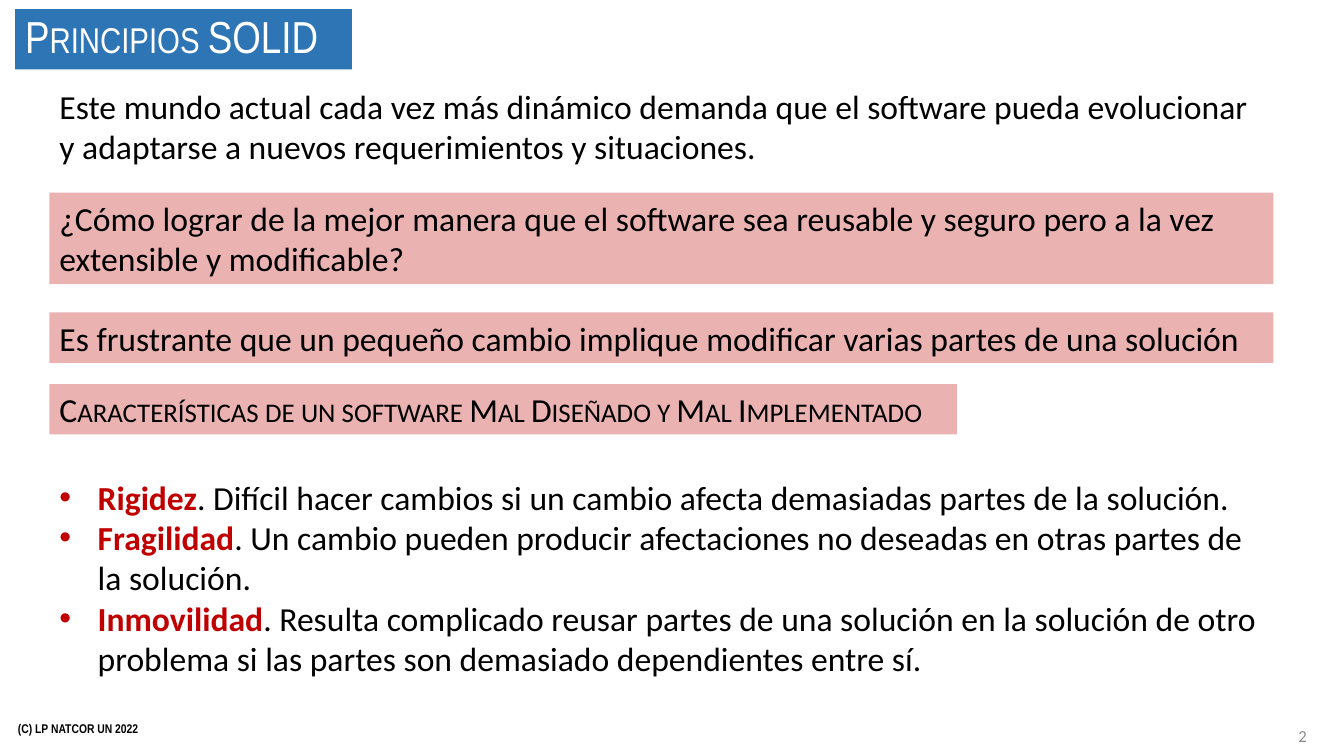
"""Builds the SOLID principles slide."""
from dataclasses import dataclass

from lxml.etree import SubElement
from pptx import Presentation
from pptx.dml.color import RGBColor
from pptx.enum.shapes import MSO_SHAPE as Shape
from pptx.enum.text import MSO_ANCHOR as Anchor, PP_ALIGN as Align
from pptx.oxml.ns import qn
from pptx.util import Emu, Inches, Pt


@dataclass(frozen=True)
class Theme:
    """Colours, fonts and type sizes."""
    black: str = "000000"
    white: str = "FFFFFF"
    grey: str = "8C8C8C"
    blue: str = "2E75B6"
    red: str = "C00000"
    heading_font: str = "Arial Narrow"
    body_font: str = "Calibri"
    title_size: int = 32
    body_size: int = 24
    number_size: int = 12
    credit_size: int = 9
    panel_alpha: int = 30


THEME = Theme()


@dataclass(frozen=True)
class Point:
    """One paragraph with an optional bold term that makes it a bullet."""
    text: str
    term: str = ""


@dataclass(frozen=True)
class Panel:
    """A text block placed in percent of the slide's width and height."""
    left: float
    top: float
    width: float
    height: float
    points: tuple[Point, ...]
    fill: str = ""
    alpha: int = 100
    font: str = THEME.body_font
    size: int = THEME.body_size
    color: str = THEME.black
    bold: bool = False
    small_caps: bool = False
    anchor: Anchor = Anchor.TOP
    align: Align = Align.LEFT
    line_spacing: float = 1.0


MARGIN, FULL_WIDTH = 3.68, 91.07
ONE_LINE, TWO_LINES, FIVE_LINES = 6.67, 12.13, 28.27


def statement(top: float, height: float, *points: Point, fill: str = THEME.red,
              width: float = FULL_WIDTH, small_caps: bool = False) -> Panel:
    """Describe a translucent body panel on the common left margin."""
    return Panel(MARGIN, top, width, height, points, fill, THEME.panel_alpha,
                 small_caps=small_caps)


PANELS = (
    Panel(0.6, 93.73, 33.76, 5.33, (Point("(C) LP NATCOR UN 2022"),),
          font=THEME.heading_font, size=THEME.credit_size, bold=True,
          anchor=Anchor.MIDDLE),
    Panel(1.13, 1.2, 25.06, 8, (Point("Principios SOLID"),), THEME.blue,
          font=THEME.heading_font, size=THEME.title_size, color=THEME.white,
          small_caps=True, anchor=Anchor.MIDDLE, line_spacing=0.9),
    Panel(75.47, 94.67, 22.51, 5.33, (Point("2"),), size=THEME.number_size,
          color=THEME.grey, anchor=Anchor.MIDDLE, align=Align.RIGHT),
    statement(10.67, TWO_LINES, Point(
        "Este mundo actual cada vez más dinámico demanda que el software pueda "
        "evolucionar y adaptarse a nuevos requerimientos y situaciones."),
        fill=THEME.white),
    statement(25.47, TWO_LINES, Point(
        "¿Cómo lograr de la mejor manera que el software sea reusable y seguro "
        "pero a la vez extensible y modificable?")),
    statement(41.33, ONE_LINE, Point(
        "Es frustrante que un pequeño cambio implique modificar varias partes "
        "de una solución")),
    statement(50.8, ONE_LINE, Point(
        "Características de un software Mal Diseñado y Mal Implementado"),
        width=67.52, small_caps=True),
    statement(62.4, FIVE_LINES,
              Point(". Difícil hacer cambios si un cambio afecta demasiadas "
                    "partes de la solución.", "Rigidez"),
              Point(". Un cambio pueden producir afectaciones no deseadas en "
                    "otras partes de la solución.", "Fragilidad"),
              Point(". Resulta complicado reusar partes de una solución en la "
                    "solución de otro problema si las partes son demasiado "
                    "dependientes entre sí.", "Inmovilidad"),
              fill=THEME.white),
)


def add_bullet(paragraph) -> None:
    """Give a paragraph a hanging red bullet."""
    properties = paragraph._p.get_or_add_pPr()
    indent = Inches(0.38)
    properties.set("marL", str(indent))
    properties.set("indent", str(-indent))
    colour = SubElement(properties, qn("a:buClr"))
    SubElement(colour, qn("a:srgbClr"), val=THEME.red)
    SubElement(properties, qn("a:buFont"), typeface="Arial")
    SubElement(properties, qn("a:buChar"), char="•")


def write_point(paragraph, point: Point, panel: Panel) -> None:
    """Write one paragraph in the style of its panel."""
    paragraph.alignment = panel.align
    paragraph.line_spacing = panel.line_spacing
    if point.term:
        add_bullet(paragraph)
        term = paragraph.add_run()
        term.text = point.term
        term.font.bold = True
        term.font.color.rgb = RGBColor.from_string(THEME.red)
    wording = paragraph.add_run()
    wording.text = point.text
    if panel.small_caps:
        wording._r.get_or_add_rPr().set("cap", "small")
    font = paragraph.font
    font.name, font.size, font.bold = panel.font, Pt(panel.size), panel.bold
    font.color.rgb = RGBColor.from_string(panel.color)


def draw_panel(slide, panel: Panel, slide_width: int, slide_height: int) -> None:
    """Draw a panel and its paragraphs."""
    place = (Emu(round(slide_width * panel.left / 100)),
             Emu(round(slide_height * panel.top / 100)),
             Emu(round(slide_width * panel.width / 100)),
             Emu(round(slide_height * panel.height / 100)))
    if panel.fill:
        block = slide.shapes.add_shape(Shape.RECTANGLE, *place)
        block.shadow.inherit = False
        block.line.fill.background()
        block.fill.solid()
        block.fill.fore_color.rgb = RGBColor.from_string(panel.fill)
        if panel.alpha < 100:
            tint = block._element.spPr.find(f"{qn('a:solidFill')}/{qn('a:srgbClr')}")
            SubElement(tint, qn("a:alpha"), val=str(panel.alpha * 1000))
    else:
        block = slide.shapes.add_textbox(*place)
    frame = block.text_frame
    frame.word_wrap = True
    frame.vertical_anchor = panel.anchor
    for index, point in enumerate(panel.points):
        paragraph = frame.add_paragraph() if index else frame.paragraphs[0]
        write_point(paragraph, point, panel)


def main() -> None:
    """Build and save the slide."""
    deck = Presentation()
    deck.slide_width, deck.slide_height = Inches(13.33), Inches(7.5)
    slide = deck.slides.add_slide(deck.slide_layouts[6])
    for panel in PANELS:
        draw_panel(slide, panel, deck.slide_width, deck.slide_height)
    deck.save("out.pptx")


main()
